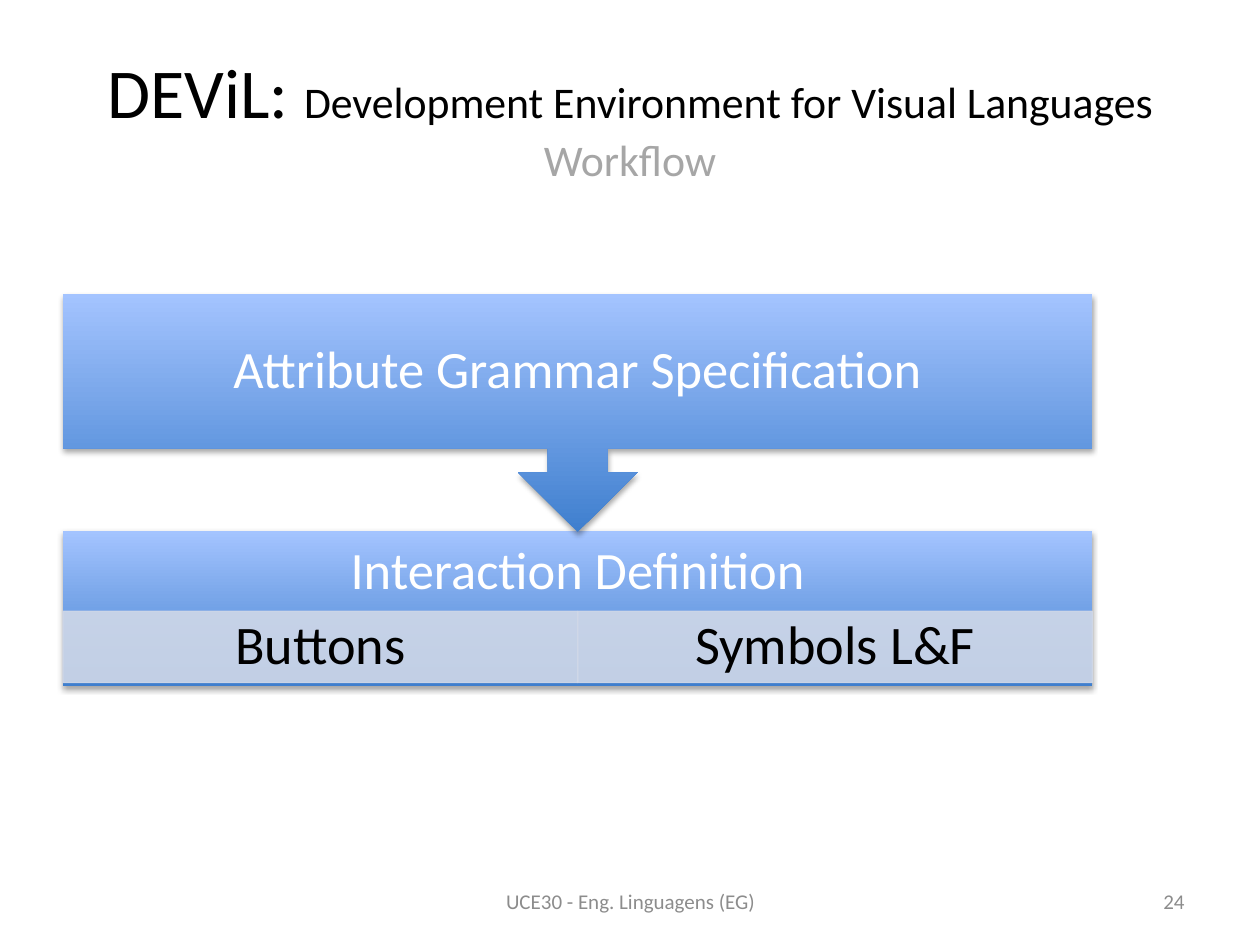
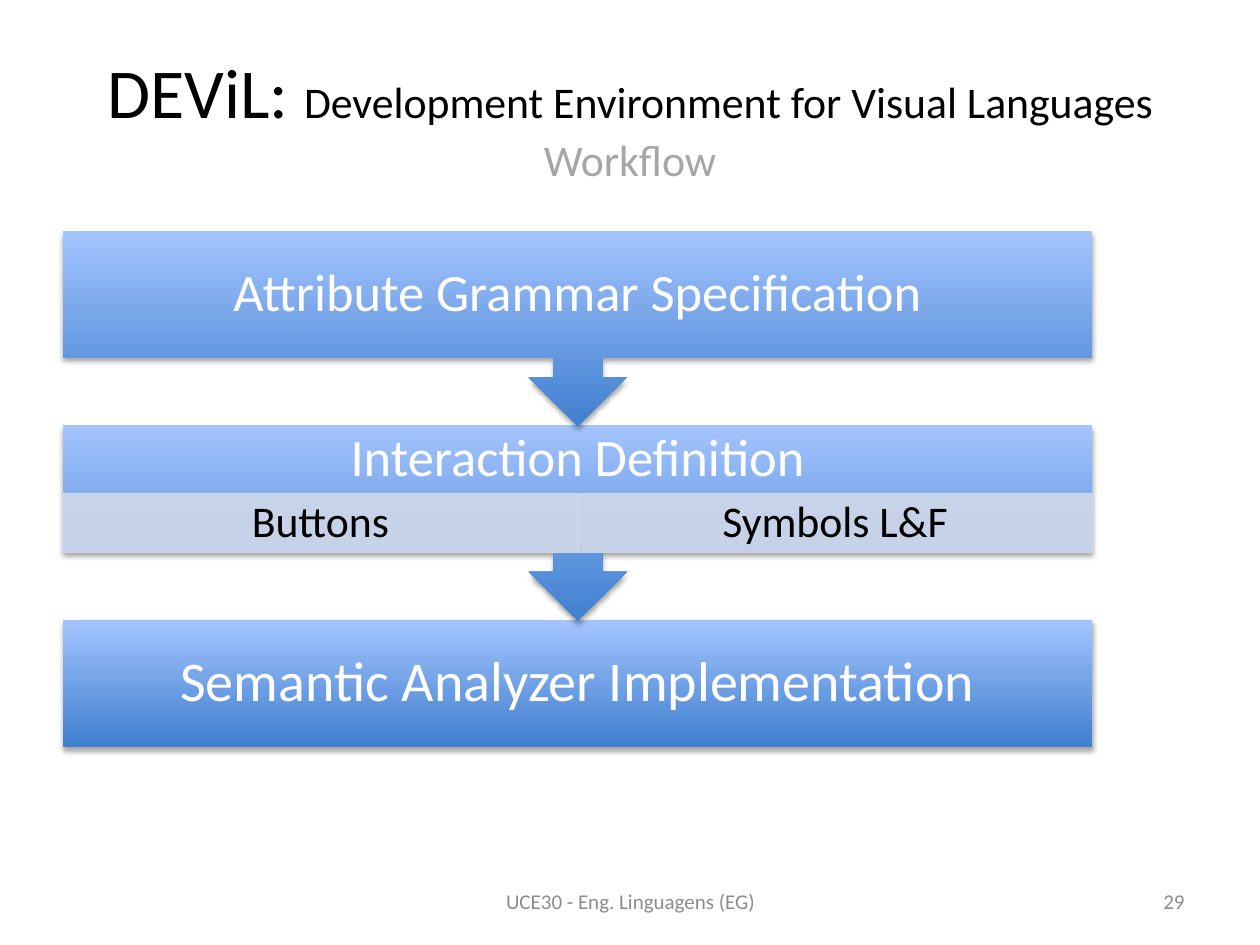
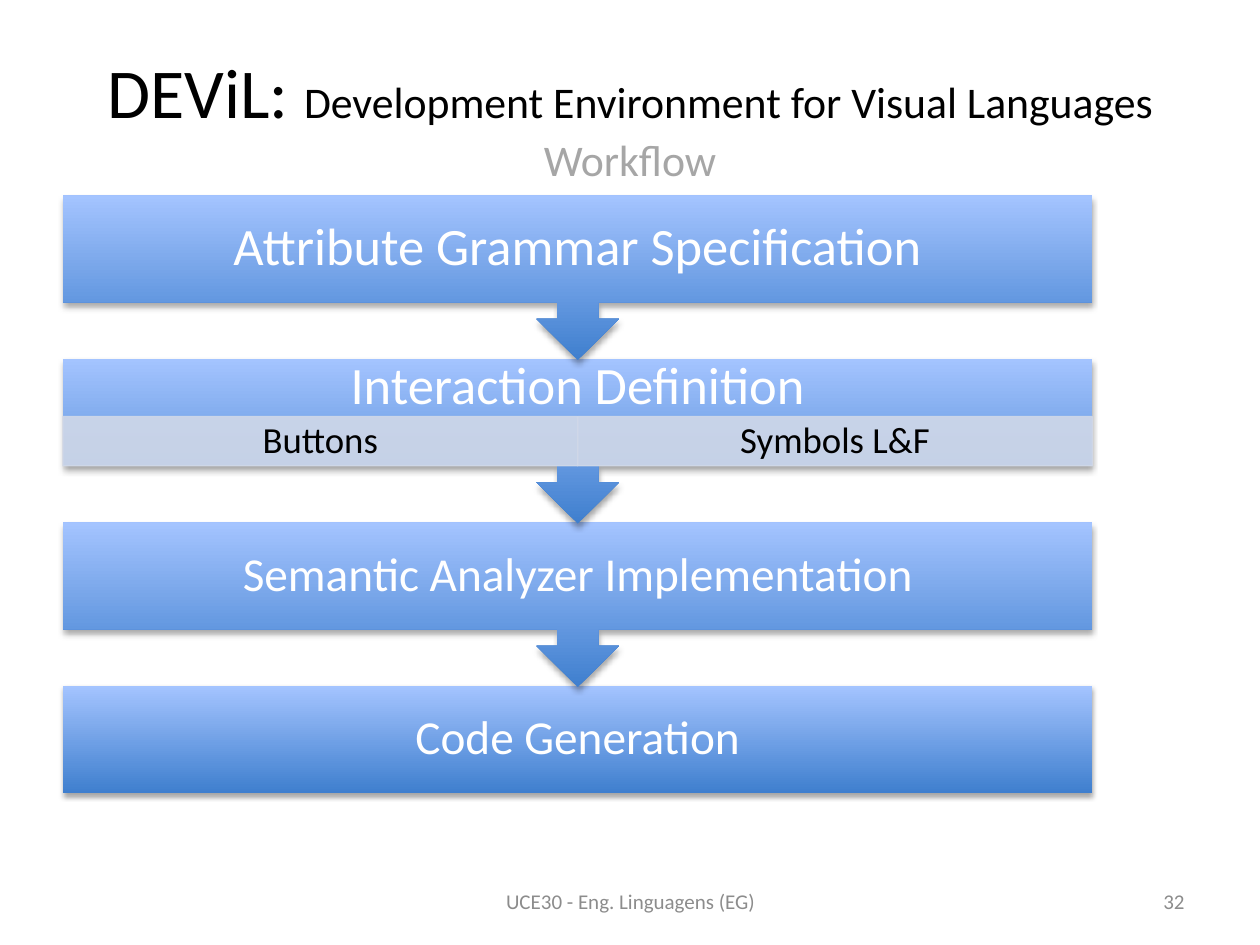
from copy import deepcopy

from lxml.etree import SubElement
from pptx import Presentation
from pptx.dml.color import RGBColor
from pptx.enum.shapes import MSO_SHAPE
from pptx.enum.text import MSO_ANCHOR, MSO_AUTO_SIZE, PP_ALIGN
from pptx.oxml.ns import qn
from pptx.util import Inches, Pt

FONT = "Calibri"
COLORS = {
    "deep": "3F7FCE",
    "light": "A4C4FF",
    "detail": "D0D8E8",
    "white": "FFFFFF",
    "black": "000000",
    "subtitle": "A6A6A6",
    "footer": "8C8C8C",
}

TITLE = [
    ("DEViL: ", 40, "black"),
    ("Development Environment for Visual Languages", 25, "black"),
    ("Workflow", 25, "subtitle"),
]
FOOTER = "UCE30 - Eng. Linguagens (EG)"

GRAMMAR = "Attribute Grammar Specification"
INTERACTION = "Interaction Definition"
SEMANTICS = "Semantic Analyzer Implementation"
GENERATION = "Code Generation"
DETAILS = {INTERACTION: ["Buttons", "Symbols L&F"]}

WORKFLOWS = [
    {"page": "24", "top": 2.33, "box": 1.23, "detail_size": 31,
     "steps": [(GRAMMAR, 30), (INTERACTION, 30)]},
    {"page": "29", "top": 1.83, "box": 1.01, "detail_size": 25,
     "steps": [(GRAMMAR, 30), (INTERACTION, 30), (SEMANTICS, 32)]},
    {"page": "32", "top": 1.55, "box": 0.85, "detail_size": 21,
     "steps": [(GRAMMAR, 30), (INTERACTION, 30), (SEMANTICS, 27), (GENERATION, 27)]},
]

LEFT, WIDTH = 0.5, 8.17
BODY_SHARE = 0.65
OVERLAP = 0.01
HEADER_SHARE = 0.54
LAST_DETAIL_SHARE = 0.52
DETAIL_SHARE = 0.46


def rgb(color):
    return RGBColor.from_string(COLORS[color])


def inches(*lengths):
    return [Inches(length) for length in lengths]


def format_run(run, size, color):
    run.font.name = FONT
    run.font.size = Pt(size)
    run.font.color.rgb = rgb(color)


def write(shape, text, size, color, align=PP_ALIGN.CENTER, spacing=0.9, inset=0.0):
    frame = shape.text_frame
    frame.word_wrap = True
    frame.vertical_anchor = MSO_ANCHOR.MIDDLE
    frame.margin_left = frame.margin_right = Inches(inset)
    frame.margin_top = frame.margin_bottom = 0
    frame.text = text
    paragraph = frame.paragraphs[0]
    paragraph.alignment = align
    paragraph.line_spacing = spacing
    format_run(paragraph.runs[0], size, color)


def add_title(slide):
    title = slide.shapes.title
    title.left, title.top, title.width, title.height = inches(0.5, 0.3, 9, 1.25)
    frame = title.text_frame
    frame.auto_size = MSO_AUTO_SIZE.NONE
    frame.vertical_anchor = MSO_ANCHOR.MIDDLE
    paragraph = frame.paragraphs[0]
    paragraph.alignment = PP_ALIGN.CENTER
    for text, size, color in TITLE:
        if text == TITLE[-1][0]:
            paragraph.add_line_break()
            line_break = paragraph._p.find(qn("a:br"))
            line_break.append(deepcopy(paragraph.runs[-1].font._element))
        run = paragraph.add_run()
        run.text = text
        format_run(run, size, color)


def add_shadow(shape):
    shape.shadow.inherit = False
    effects = shape._element.spPr.find(qn("a:effectLst"))
    shadow = SubElement(effects, qn("a:outerShdw"), blurRad=str(Pt(3.1)),
                        dist=str(Pt(1.8)), dir="5400000", rotWithShape="0")
    tint = SubElement(shadow, qn("a:srgbClr"), val=COLORS["black"])
    SubElement(tint, qn("a:alpha"), val="35000")


def add_step_box(slide, top, height, leads_on):
    kind = MSO_SHAPE.UP_ARROW_CALLOUT if leads_on else MSO_SHAPE.RECTANGLE
    step = slide.shapes.add_shape(kind, *inches(LEFT, top, WIDTH, height))
    step.rotation = 180 if leads_on else 0
    step.fill.gradient()
    step.fill.gradient_angle = 90
    for stop, color, position in zip(step.fill.gradient_stops, ("deep", "light"), (0, 1)):
        stop.color.rgb = rgb(color)
        stop.position = position
    step._element.spPr.find(qn("a:gradFill")).set("rotWithShape", "0")
    step.line.fill.background()
    add_shadow(step)


def add_details(slide, details, top, height, size):
    width = WIDTH / len(details)
    for column, text in enumerate(details):
        detail = slide.shapes.add_shape(
            MSO_SHAPE.RECTANGLE, *inches(LEFT + column * width, top, width, height))
        detail.shadow.inherit = False
        detail.fill.solid()
        detail.fill.fore_color.rgb = rgb("detail")
        detail.line.color.rgb = rgb("detail")
        detail.line.width = Pt(0.75)
        for tint in detail._element.spPr.iter(qn("a:srgbClr")):
            SubElement(tint, qn("a:alpha"), val="90000")
        write(detail, text, size, "black", inset=0.2)


def add_workflow(slide, workflow):
    box, steps = workflow["box"], workflow["steps"]
    callout = box / BODY_SHARE
    for row, (name, size) in reversed(list(enumerate(steps))):
        leads_on = row < len(steps) - 1
        top = workflow["top"] + row * (callout - OVERLAP)
        details = DETAILS.get(name)
        add_step_box(slide, top, callout if leads_on else box, leads_on)
        header = box * HEADER_SHARE if details else box
        label = slide.shapes.add_textbox(*inches(LEFT, top, WIDTH, header))
        write(label, name, size, "white", inset=0.23)
        if details:
            offset = HEADER_SHARE if leads_on else LAST_DETAIL_SHARE
            add_details(slide, details, top + box * offset, box * DETAIL_SHARE,
                        workflow["detail_size"])


def add_footer(slide, page):
    for text, left, width, align in [(FOOTER, 3.42, 3.17, PP_ALIGN.CENTER),
                                     (page, 7.17, 2.33, PP_ALIGN.RIGHT)]:
        note = slide.shapes.add_textbox(*inches(left, 6.95, width, 0.4))
        write(note, text, 12, "footer", align, spacing=1.0, inset=0.1)


def main():
    deck = Presentation()
    deck.slide_width, deck.slide_height = inches(10, 7.5)
    for workflow in WORKFLOWS:
        slide = deck.slides.add_slide(deck.slide_layouts[5])
        add_title(slide)
        add_workflow(slide, workflow)
        add_footer(slide, workflow["page"])
    deck.save("out.pptx")


if __name__ == "__main__":
    main()
